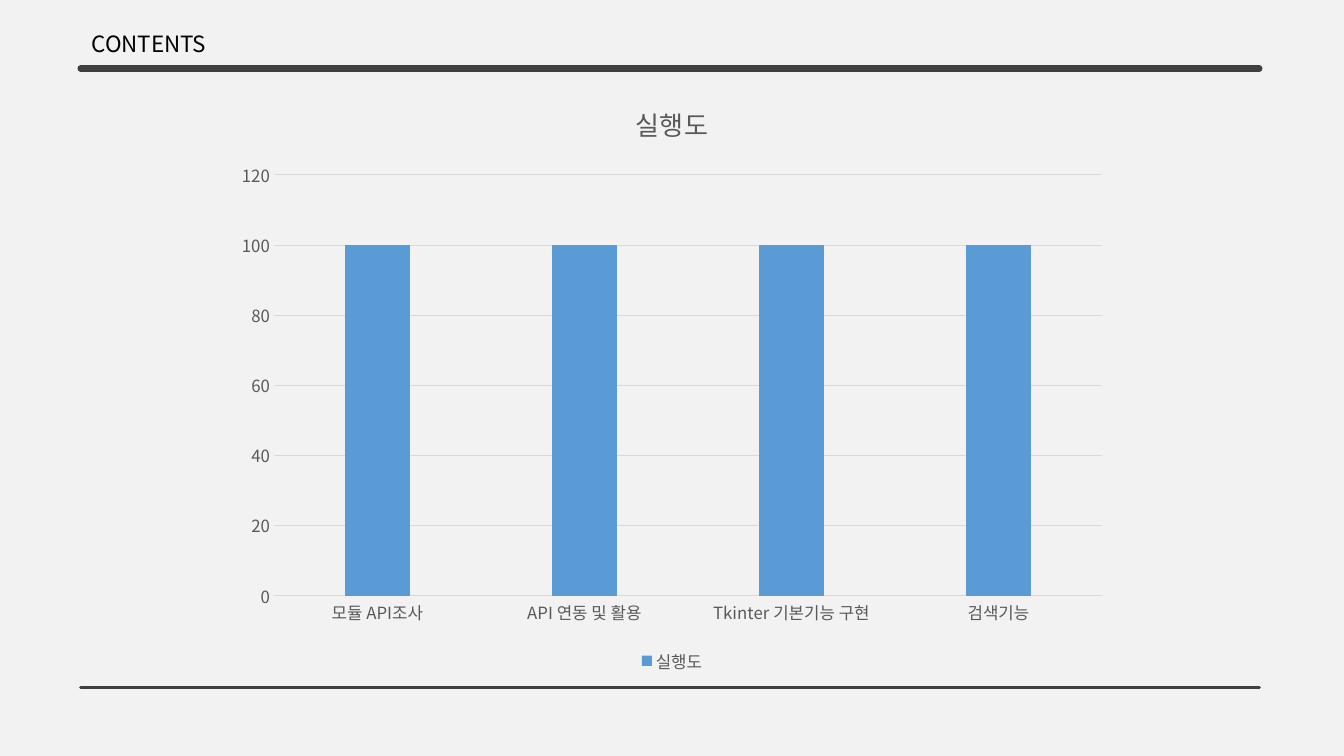
from lxml import etree
from pptx import Presentation
from pptx.chart.data import CategoryChartData
from pptx.dml.color import RGBColor
from pptx.enum.chart import XL_CHART_TYPE, XL_LEGEND_POSITION, XL_TICK_MARK
from pptx.enum.shapes import MSO_CONNECTOR
from pptx.enum.text import MSO_AUTO_SIZE
from pptx.oxml.ns import qn
from pptx.util import Inches, Pt

HEADING = "CONTENTS"
MEASURE = "실행도"
PROGRESS = {
    "모듈 API조사": 100,
    "API 연동 및 활용": 100,
    "Tkinter 기본기능 구현": 100,
    "검색기능": 100,
}

COLUMN = XL_CHART_TYPE.COLUMN_CLUSTERED
BOTTOM = XL_LEGEND_POSITION.BOTTOM
NO_TICK = XL_TICK_MARK.NONE
STRAIGHT = MSO_CONNECTOR.STRAIGHT
FIT_SHAPE = MSO_AUTO_SIZE.SHAPE_TO_FIT_TEXT

PAPER = RGBColor(0xF2, 0xF2, 0xF2)
RULE = RGBColor(0x40, 0x40, 0x40)
BLACK = RGBColor(0, 0, 0)
LABEL = RGBColor(0x59, 0x59, 0x59)
GRID = RGBColor(0xD9, 0xD9, 0xD9)
BAR = RGBColor(0x5B, 0x9B, 0xD5)
FONT = "Noto Sans CJK KR"

WIDTH, HEIGHT = 13.33, 7.5
RULE_LEFT, RULE_RIGHT = WIDTH * 0.06, WIDTH * 0.937
RULES = [(6.82, 2.25), (0.68, 4.5)]  # height on the slide, line width
CHART_WIDTH, CHART_HEIGHT, CHART_TOP = WIDTH * 2 / 3, 5.93, 0.79


def style_font(font, size, color):
    """Apply the common typeface with a size and a colour."""
    formats = {"name": FONT, "size": Pt(size), "bold": False}
    for name, value in formats.items():
        setattr(font, name, value)
    font.color.rgb = color


def add_rule(page, top, weight):
    """Draw a horizontal rule with round ends."""
    rule = page.shapes.add_connector(
        STRAIGHT, Inches(RULE_LEFT), Inches(top), Inches(RULE_RIGHT), Inches(top))
    rule.line.color.rgb = RULE
    rule.line.width = Pt(weight)
    properties = rule._element.spPr
    properties.find(qn("a:ln")).set("cap", "rnd")
    etree.SubElement(properties, qn("a:effectLst"))


def add_heading(page):
    """Write the heading above the upper rule."""
    box = page.shapes.add_textbox(Inches(0.81), Inches(0.25), Inches(1.35), Inches(0.37))
    frame = box.text_frame
    frame.word_wrap = False
    frame.auto_size = FIT_SHAPE
    span = frame.paragraphs[0].add_run()
    span.text = HEADING
    style_font(span.font, 16, BLACK)


def style_axes(chart):
    """Set the axis labels, lines and gridlines."""
    for axis in (chart.category_axis, chart.value_axis):
        axis.major_tick_mark = axis.minor_tick_mark = NO_TICK
        style_font(axis.tick_labels.font, 12, LABEL)
    chart.value_axis.format.line.fill.background()
    chart.value_axis.minimum_scale = 0
    chart.value_axis.maximum_scale = 120
    chart.value_axis.major_unit = 20
    for line in (chart.category_axis.format.line,
                 chart.value_axis.major_gridlines.format.line):
        line.color.rgb = GRID
        line.width = Pt(0.75)


def add_progress_chart(page):
    """Add the column chart of progress, centred on the slide."""
    data = CategoryChartData()
    data.categories = list(PROGRESS)
    data.add_series(MEASURE, list(PROGRESS.values()))
    left = (WIDTH - CHART_WIDTH) / 2
    chart = page.shapes.add_chart(
        COLUMN, Inches(left), Inches(CHART_TOP),
        Inches(CHART_WIDTH), Inches(CHART_HEIGHT), data).chart
    style_font(chart.font, 10, BLACK)

    chart.has_title = True
    span = chart.chart_title.text_frame.paragraphs[0].add_run()
    span.text = MEASURE
    style_font(span.font, 18.6, LABEL)
    chart.chart_title.include_in_layout = False

    chart.has_legend = True
    chart.legend.position = BOTTOM
    chart.legend.include_in_layout = False
    style_font(chart.legend.font, 12, LABEL)

    style_axes(chart)
    plot = chart.plots[0]
    for name, value in {"gap_width": 219, "overlap": -27,
                        "vary_by_categories": False}.items():
        setattr(plot, name, value)
    fill = plot.series[0].format.fill
    fill.solid()
    fill.fore_color.rgb = BAR

    for latin in list(chart._chartSpace.iter(qn("a:latin"))):
        east_asian = etree.Element(qn("a:ea"), typeface=FONT)
        latin.addnext(east_asian)


def build():
    """Build the slide and save the deck."""
    deck = Presentation()
    deck.slide_width, deck.slide_height = Inches(WIDTH), Inches(HEIGHT)
    page = deck.slides.add_slide(deck.slide_layouts[6])
    page.background.fill.solid()
    page.background.fill.fore_color.rgb = PAPER
    for top, weight in RULES:
        add_rule(page, top, weight)
    add_heading(page)
    add_progress_chart(page)
    deck.save("out.pptx")


build()
